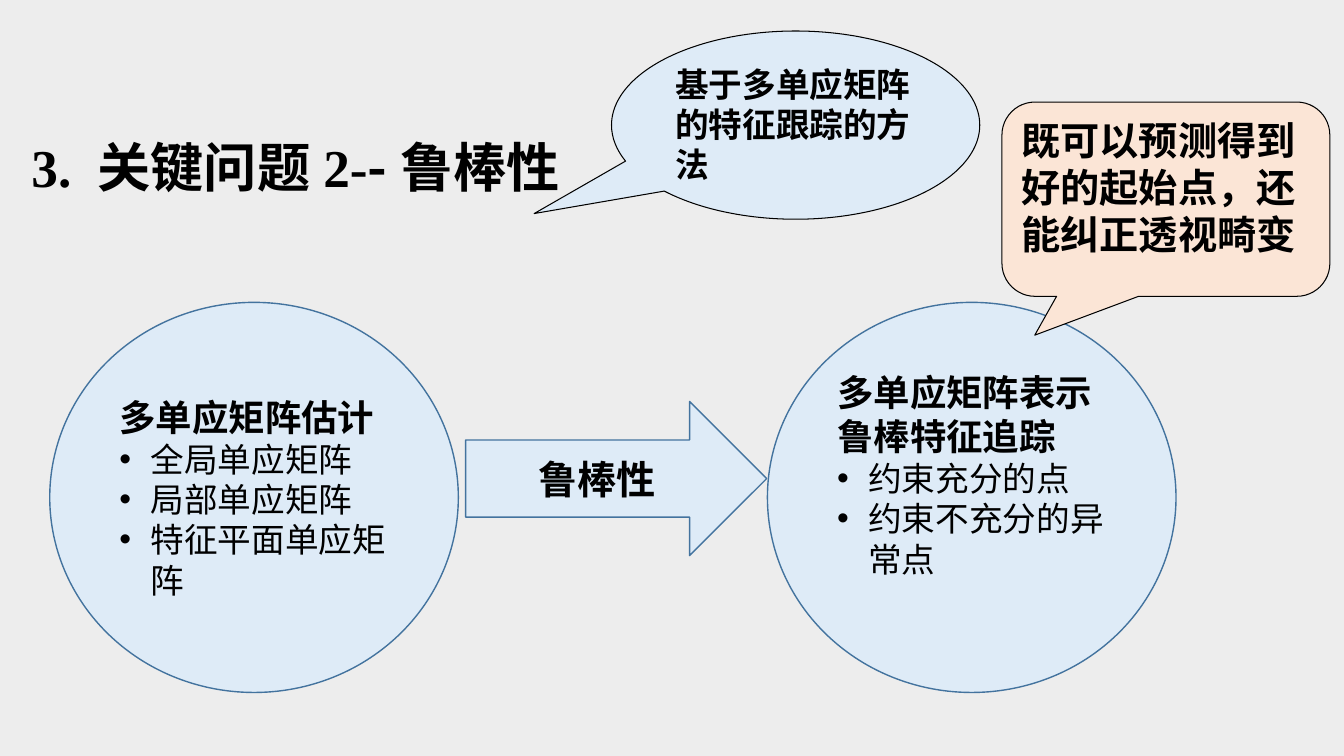
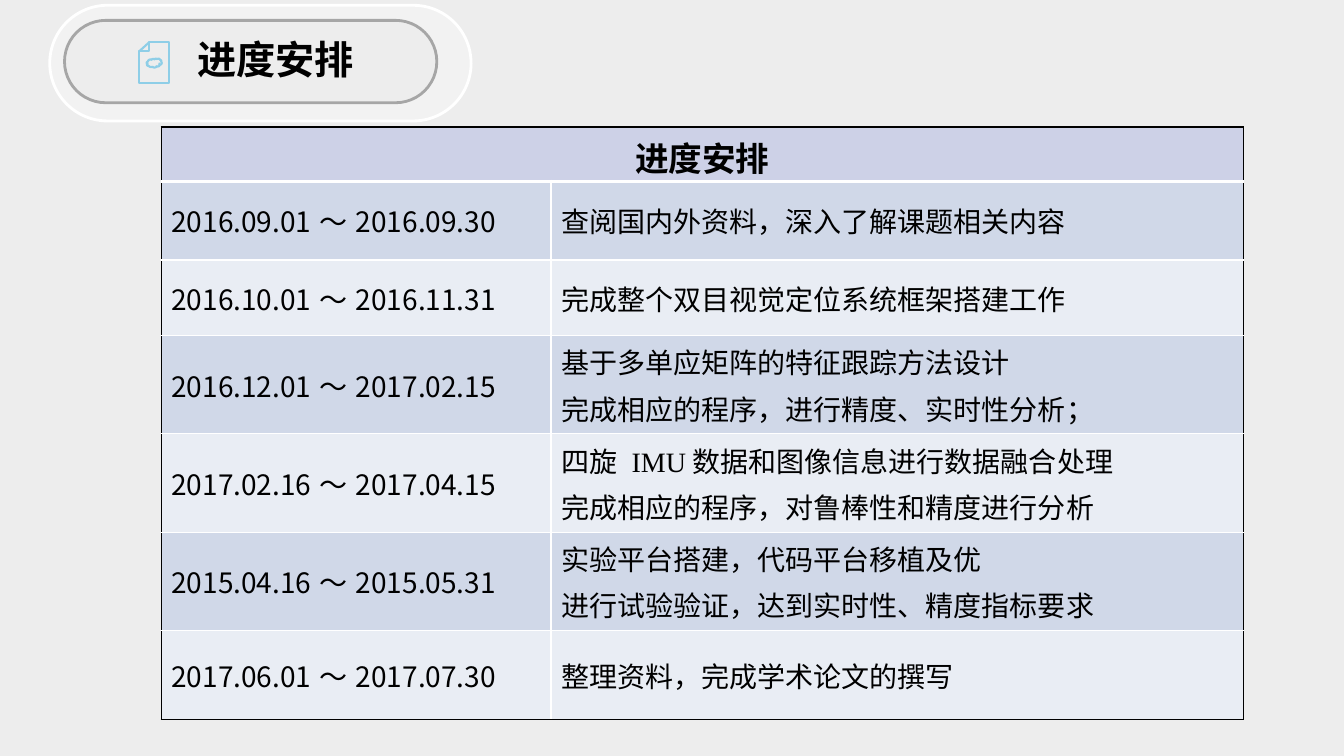
from dataclasses import dataclass

from lxml import etree
from pptx import Presentation
from pptx import util as u
from pptx.dml.color import RGBColor
from pptx.enum import shapes, text
from pptx.oxml import ns

Shape = shapes.MSO_SHAPE
Anchor = text.MSO_ANCHOR
CENTER = text.PP_ALIGN.CENTER


@dataclass(frozen=True)
class Theme:
    page: str = "EDEDED"
    ink: str = "000000"
    white: str = "FFFFFF"
    blue: str = "DEEBF7"
    blue_line: str = "43739E"
    peach: str = "FBE5D6"
    pill: str = "F2F2F2"
    pill_line: str = "A6A6A6"
    icon: str = "8ECEE7"
    table_head: str = "CDD1E7"
    table_bands: tuple = ("D0D8E8", "E9EDF4")
    cjk: str = "Noto Sans CJK SC"
    serif: str = "Times New Roman"
    sans: str = "Arial"
    arrow_font: str = "Calibri"
    title: int = 38
    heading: int = 28
    subhead: int = 26
    body: int = 24
    cell: int = 20
    tight: float = 1.2


THEME = Theme()


def add_xml(parent, tag, **attributes):
    return etree.SubElement(parent, ns.qn(tag), attributes)


def add_para(frame, words, *, size, font=THEME.cjk, bold=False, align=None,
             leading=None, before=0, bullet=False):
    """Append a paragraph; words is a string or a list of (string, font)."""
    para = frame.paragraphs[0]
    if para.runs:
        para = frame.add_paragraph()
        para.space_before = u.Pt(before)
    if bullet:
        props = para._p.get_or_add_pPr()
        indent = u.Inches(0.31)
        props.set("marL", str(indent))
        props.set("indent", str(-indent))
        add_xml(props, "a:buFont", typeface=THEME.sans)
        add_xml(props, "a:buChar", char="•")
    if align is not None:
        para.alignment = align
    if leading:
        para.line_spacing = u.Pt(size * leading)
    for part, face in ([(words, font)] if isinstance(words, str) else words):
        span = para.add_run()
        span.text = part
        span.font.size = u.Pt(size)
        span.font.bold = bold
        span.font.color.rgb = RGBColor.from_string(THEME.ink)
        span.font.name = face
        add_xml(span._r.get_or_add_rPr(), "a:ea", typeface=THEME.cjk)


def set_border(cell, sides):
    """Draw cell borders from a dict of side letter to (colour, points)."""
    props = cell._tc.get_or_add_tcPr()
    for place, side in enumerate("LRTB"):
        colour, points = sides[side]
        line = etree.Element(ns.qn(f"a:ln{side}"), w=str(u.Pt(points)))
        fill = add_xml(line, "a:solidFill")
        add_xml(fill, "a:srgbClr", val=colour)
        props.insert(place, line)


class Deck:
    """Places elements on a grid of 100 columns by 100 rows."""

    def __init__(self, theme):
        self.theme = theme
        self.deck = Presentation()
        self.deck.slide_width = u.Inches(13.33)
        self.deck.slide_height = u.Inches(7.5)
        self.page = None

    def col(self, count):
        return round(self.deck.slide_width * count / 100)

    def row(self, count):
        return round(self.deck.slide_height * count / 100)

    def area(self, left, top, width, height):
        return self.col(left), self.row(top), self.col(width), self.row(height)

    def new_page(self):
        self.page = self.deck.slides.add_slide(self.deck.slide_layouts[6])
        fill = self.page.background.fill
        fill.solid()
        fill.fore_color.rgb = RGBColor.from_string(self.theme.page)

    def paint(self, shape, fill, line, points):
        shape.shadow.inherit = False
        if fill:
            shape.fill.solid()
            shape.fill.fore_color.rgb = RGBColor.from_string(fill)
        else:
            shape.fill.background()
        shape.line.color.rgb = RGBColor.from_string(line)
        shape.line.width = u.Pt(points)

    def label(self, area, words, size):
        box = self.page.shapes.add_textbox(*self.area(*area))
        box.text_frame.word_wrap = True
        add_para(box.text_frame, words, size=size, bold=True)

    def shape(self, kind, area, fill, line, points=1, adjust=()):
        shape = self.page.shapes.add_shape(kind, *self.area(*area))
        for place, value in enumerate(adjust):
            shape.adjustments[place] = value
        self.paint(shape, fill, line, points)
        return shape

    def callout(self, kind, area, fill, words, size, adjust):
        shape = self.shape(kind, area, fill, self.theme.ink, 0.75, adjust)
        frame = shape.text_frame
        frame.vertical_anchor = Anchor.TOP
        add_para(frame, words, size=size, font=self.theme.sans, bold=True,
                 align=text.PP_ALIGN.LEFT, leading=self.theme.tight)

    def circle(self, left, heading, points, lift=0.05):
        """Draw a circle of bullet points, raised by its bottom inset."""
        style = self.theme
        shape = self.shape(Shape.OVAL, (left, 40, 30.4, 51.6), style.blue,
                           style.blue_line)
        frame = shape.text_frame
        frame.vertical_anchor = Anchor.MIDDLE
        frame.margin_bottom = u.Inches(lift)
        common = dict(font=style.sans, align=text.PP_ALIGN.LEFT,
                      leading=style.tight)
        add_para(frame, heading, size=style.subhead, bold=True, **common)
        for point in points:
            add_para(frame, point, size=style.body, bullet=True, **common)

    def arrow(self, area, words):
        style = self.theme
        shape = self.shape(Shape.RIGHT_ARROW, area, style.blue, style.blue_line)
        shape.text_frame.vertical_anchor = Anchor.MIDDLE
        add_para(shape.text_frame, words, size=style.heading, bold=True,
                 font=style.arrow_font, align=CENTER, leading=style.tight)

    def document_icon(self, left, top, width, height):
        colour, points = self.theme.icon, 1.5
        fold_x, fold_y = left + width / 3, top + height / 4.5
        right, bottom = left + width, top + height
        corners = [(self.col(x), self.row(y)) for x, y in (
            (fold_x, top), (right, top), (right, bottom), (left, bottom),
            (left, fold_y), (fold_x, fold_y))]
        builder = self.page.shapes.build_freeform(*corners[0])
        builder.add_line_segments(corners[1:], close=True)
        self.paint(builder.convert_to_shape(), None, colour, points)
        fold = self.page.shapes.add_connector(
            shapes.MSO_CONNECTOR.STRAIGHT, *corners[0], *corners[4])
        fold.line.color.rgb = RGBColor.from_string(colour)
        fold.line.width = u.Pt(points)
        add_xml(fold._element.spPr, "a:effectLst")
        self.shape(Shape.CLOUD, (left + width / 4, top + height * 0.4,
                                 width / 2, height * 0.22),
                   None, colour, points)

    def pill_heading(self, words):
        style = self.theme
        for area, fill, line in (
                ((3.7, 0.7, 31.35, 15.3), style.pill, style.white),
                ((4.8, 2.7, 27.7, 10.9), style.page, style.pill_line)):
            self.shape(Shape.ROUNDED_RECTANGLE, area, fill, line, 2, [0.5])
        self.label((13.95, 4, 14.25, 7.6), words, style.heading)
        self.document_icon(10.35, 5.6, 2.25, 5.4)

    def schedule(self, left, top, widths, heights, heading, entries):
        """Draw a table with a merged heading over (dates, tasks) rows."""
        style = self.theme
        last = len(entries)
        area = self.area(left, top, sum(widths), sum(heights))
        table = self.page.shapes.add_table(last + 1, 2, *area).table
        table.first_row = table.horz_banding = False
        for column, width in zip(table.columns, widths):
            column.width = self.col(width)
        for row, height in zip(table.rows, heights):
            row.height = self.row(height)
        head = table.cell(0, 0)
        head.merge(table.cell(0, 1))
        head.margin_bottom = 0
        add_para(head.text_frame, heading, size=style.body, bold=True,
                 align=CENTER)
        for r, (dates, tasks) in enumerate(entries, 1):
            add_para(table.cell(r, 0).text_frame, dates, size=style.cell)
            for task in tasks:
                add_para(table.cell(r, 1).text_frame, task, size=style.cell,
                         before=style.cell * 0.2)
        edge, inner, rule = (style.ink, 1), (style.white, 1), (style.white, 3)
        for r in range(last + 1):
            fill = style.table_bands[(r - 1) % 2] if r else style.table_head
            for c in range(2):
                cell = table.cell(r, c)
                cell.vertical_anchor = Anchor.MIDDLE
                cell.fill.solid()
                cell.fill.fore_color.rgb = RGBColor.from_string(fill)
                set_border(cell, {
                    "L": edge if c == 0 else inner,
                    "R": edge if c == 1 or r == 0 else inner,
                    "T": {0: edge, 1: rule}.get(r, inner),
                    "B": {0: rule, last: edge}.get(r, inner)})


def robustness_page(deck):
    style = deck.theme
    deck.new_page()
    deck.label((1.6, 17.1, 43.95, 9.9),
               [("3. 关键问题2-", style.serif), ("-鲁棒性", style.cjk)],
               style.title)
    deck.callout(Shape.OVAL_CALLOUT, (45.5, 4.1, 27.4, 24.9), style.blue,
                 "基于多单应矩阵的特征跟踪的方法", style.body, (-0.71, 0.47))
    deck.circle(3.7, "多单应矩阵估计",
                ["全局单应矩阵", "局部单应矩阵", "特征平面单应矩阵"])
    deck.circle(57.1, "多单应矩阵表示鲁棒特征追踪",
                ["约束充分的点", "约束不充分的异常点"], lift=0.5)
    deck.arrow((34.65, 53.1, 22.4, 20.4), "鲁棒性")
    deck.callout(Shape.ROUNDED_RECTANGULAR_CALLOUT, (74.55, 13.5, 24.4, 25.7),
                 style.peach, "既可以预测得到好的起始点，还能纠正透视畸变",
                 style.heading, (-0.4, 0.7, 0.17))


def schedule_page(deck):
    style = deck.theme
    deck.new_page()
    deck.pill_heading("进度安排")
    fusion = [("四旋 ", style.cjk), ("IMU", style.serif),
              ("数据和图像信息进行数据融合处理", style.cjk)]
    deck.schedule(
        12, 16.8, (29, 51.5), (7.2, 10.4, 10, 13, 13, 13, 11.75), "进度安排", [
            ("2016.09.01～2016.09.30",
             ["查阅国内外资料，深入了解课题相关内容"]),
            ("2016.10.01～2016.11.31",
             ["完成整个双目视觉定位系统框架搭建工作"]),
            ("2016.12.01～2017.02.15",
             ["基于多单应矩阵的特征跟踪方法设计",
              "完成相应的程序，进行精度、实时性分析；"]),
            ("2017.02.16～2017.04.15",
             [fusion, "完成相应的程序，对鲁棒性和精度进行分析"]),
            ("2015.04.16～2015.05.31",
             ["实验平台搭建，代码平台移植及优",
              "进行试验验证，达到实时性、精度指标要求"]),
            ("2017.06.01～2017.07.30",
             ["整理资料，完成学术论文的撰写"]),
        ])


def main():
    deck = Deck(THEME)
    robustness_page(deck)
    schedule_page(deck)
    deck.deck.save("out.pptx")


if __name__ == "__main__":
    main()
